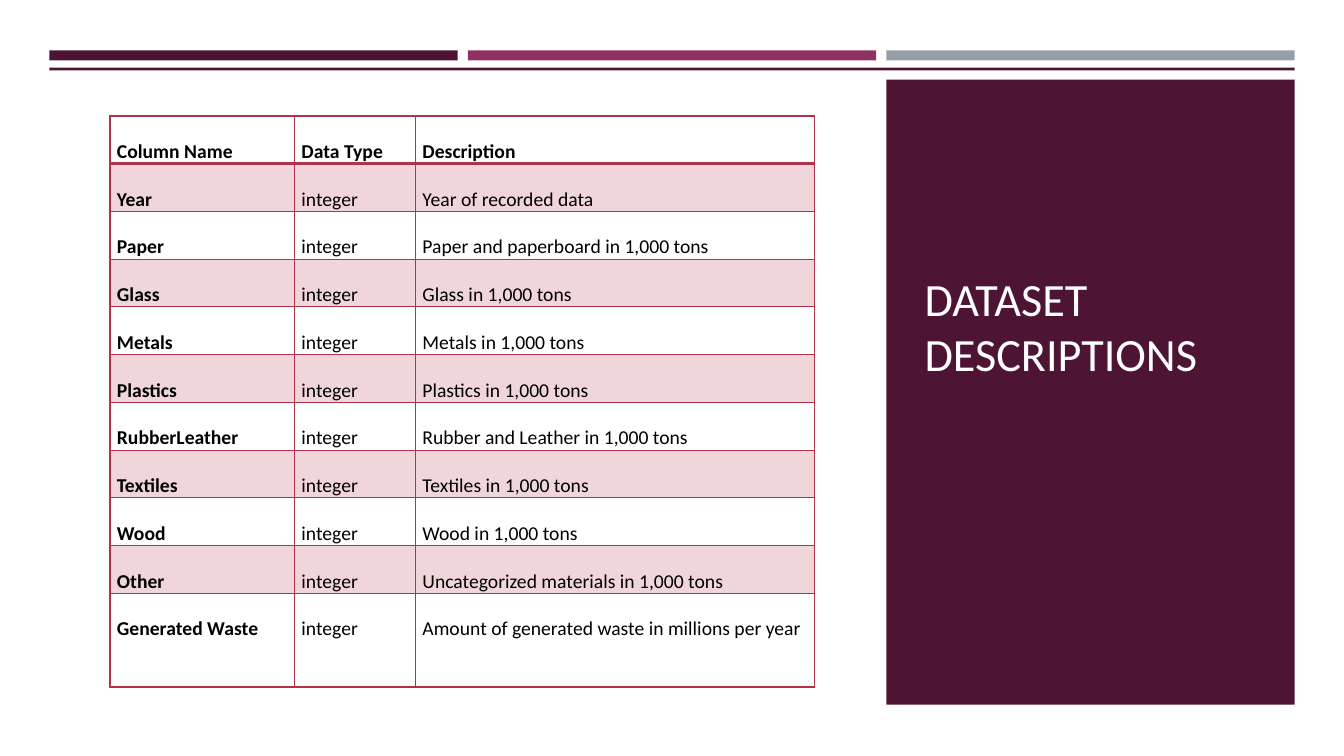
from pptx import Presentation
from pptx.dml.color import RGBColor
from pptx.enum.shapes import MSO_SHAPE
from pptx.enum.text import MSO_ANCHOR, MSO_AUTO_SIZE, PP_ALIGN
from pptx.oxml.ns import qn
from pptx.util import Inches, Pt
from lxml.etree import SubElement

COLORS = {"plum": "4D1434", "berry": "903163", "grey": "969FA7",
          "white": "FFFFFF", "black": "000000", "border": "B2324B", "band": "F0D6DB"}
TITLE = "DATASET DESCRIPTIONS"
HEADER = ("Column Name", "Data Type", "Description")
FIELDS = [
    ("Year", "Year of recorded data"),
    ("Paper", "Paper and paperboard in 1,000 tons"),
    ("Glass", "Glass in 1,000 tons"),
    ("Metals", "Metals in 1,000 tons"),
    ("Plastics", "Plastics in 1,000 tons"),
    ("RubberLeather", "Rubber and Leather in 1,000 tons"),
    ("Textiles", "Textiles in 1,000 tons"),
    ("Wood", "Wood in 1,000 tons"),
    ("Other", "Uncategorized materials in 1,000 tons"),
    ("Generated Waste", "Amount of generated waste in millions per year"),
]
ROWS = [HEADER] + [(name, "integer", text) for name, text in FIELDS]
COL_WIDTHS = (1.83, 1.2, 3.96)
ROW_HEIGHT, LAST_HEIGHT = 0.46, 0.93
LEFT, BAR_WIDTH, BAR_STEP = 0.49, 4.05, 4.15
PANEL_LEFT = LEFT + 2 * BAR_STEP


def rgb(name):
    return RGBColor.from_string(COLORS[name])


def add_bar(s, left, top, width, height, color):
    bar = s.shapes.add_shape(MSO_SHAPE.RECTANGLE, Inches(left), Inches(top),
                             Inches(width), Inches(height))
    bar.shadow.inherit = False
    bar.fill.solid()
    bar.fill.fore_color.rgb = rgb(color)
    bar.line.fill.background()


def write(tf, text, size, color="black", bold=False, spacing=1.0, after=0):
    p = tf.paragraphs[0]
    p.alignment = PP_ALIGN.LEFT
    p.line_spacing = spacing
    p.space_before = Pt(0)
    p.space_after = Pt(after)
    r = p.add_run()
    r.text = text
    r.font.name = "Calibri"
    r.font.size = Pt(size)
    r.font.bold = bold
    r.font.color.rgb = rgb(color)


def set_borders(cell, widths):
    """Draw cell borders; widths maps each side (L, R, T, B) to points."""
    tc_pr = cell._tc.get_or_add_tcPr()
    for side, width in widths.items():
        ln = SubElement(tc_pr, qn(f"a:ln{side}"), w=str(Pt(width)))
        fill = SubElement(ln, qn("a:solidFill"))
        SubElement(fill, qn("a:srgbClr"), val=COLORS["border"])


def add_field_table(s):
    heights = [ROW_HEIGHT] * (len(ROWS) - 1) + [LAST_HEIGHT]
    table = s.shapes.add_table(len(ROWS), len(HEADER), Inches(1.09), Inches(1.15),
                               Inches(sum(COL_WIDTHS)), Inches(sum(heights))).table
    table.first_row = table.horz_banding = False
    for col, width in zip(table.columns, COL_WIDTHS):
        col.width = Inches(width)
    for i, (row, height) in enumerate(zip(ROWS, heights)):
        table.rows[i].height = Inches(height)
        for j, text in enumerate(row):
            cell = table.cell(i, j)
            cell.margin_left = cell.margin_right = Inches(0.07)
            cell.margin_top = cell.margin_bottom = 0
            set_borders(cell, {"L": 1, "R": 1, "T": 2 if i == 1 else 1,
                               "B": 2 if i == 0 else 1})
            cell.fill.solid()
            cell.fill.fore_color.rgb = rgb("band" if i % 2 else "white")
            write(cell.text_frame, text, 14, bold=i == 0 or j == 0, spacing=2.0, after=7)


def add_title(s):
    title = s.shapes.title
    title.left, title.top = Inches(9.07), Inches(1.55)
    title.width, title.height = Inches(3.37), Inches(2.28)
    s.shapes.element.append(title.element)  # bring in front of the panel
    tf = title.text_frame
    tf.word_wrap = True
    tf.auto_size = MSO_AUTO_SIZE.NONE
    tf.vertical_anchor = MSO_ANCHOR.BOTTOM
    write(tf, TITLE, 33, color="white")


def main():
    prs = Presentation()
    prs.slide_width, prs.slide_height = Inches(13.33), Inches(7.5)
    s = prs.slides.add_slide(prs.slide_layouts[5])
    for i, color in enumerate(("plum", "berry", "grey")):
        add_bar(s, LEFT + i * BAR_STEP, 0.5, BAR_WIDTH, 0.1, color)
    add_bar(s, LEFT, 0.67, 2 * BAR_STEP + BAR_WIDTH, 0.03, "plum")
    add_bar(s, PANEL_LEFT, 0.79, BAR_WIDTH, 6.2, "plum")
    add_title(s)
    add_field_table(s)
    prs.save("out.pptx")


if __name__ == "__main__":
    main()
